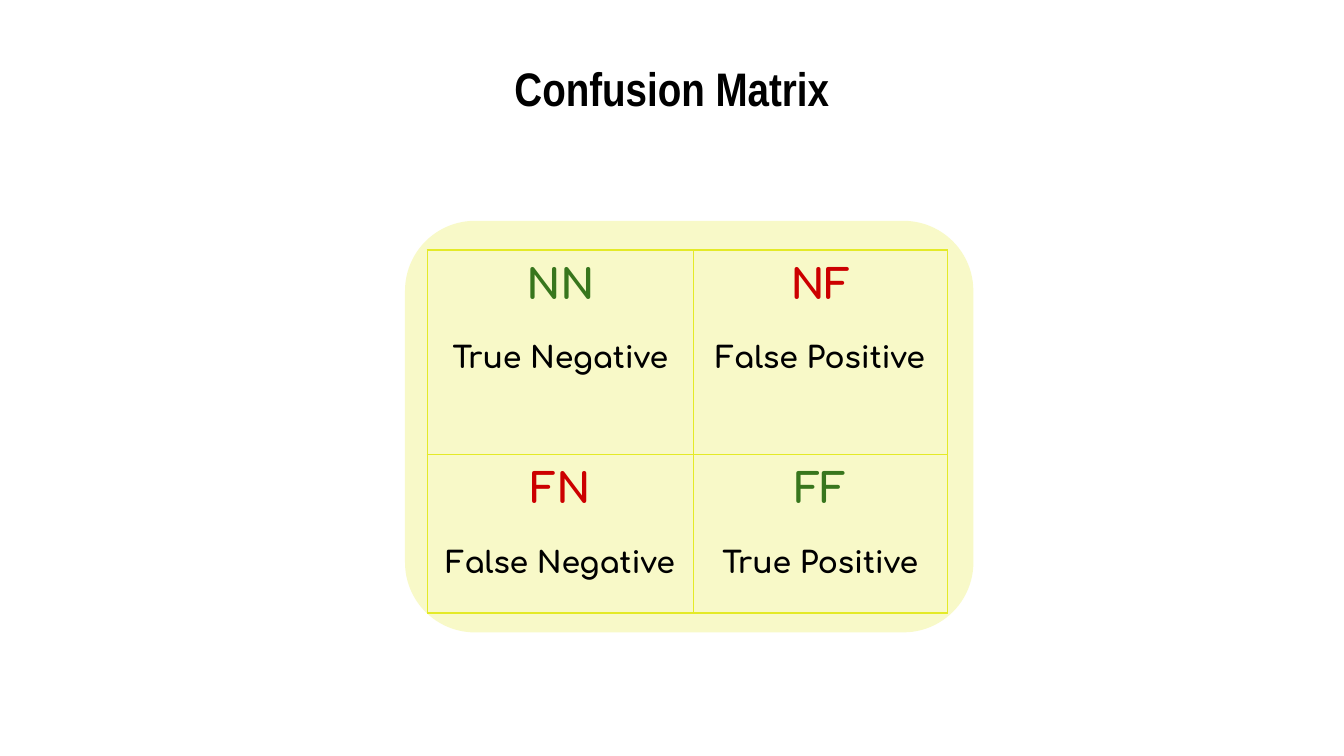
"""Build a slide with a two-by-two confusion matrix."""
from dataclasses import dataclass

from lxml import etree
from pptx import Presentation
from pptx.dml.color import RGBColor
from pptx.enum import shapes, text
from pptx.oxml import ns
from pptx.util import Pt

BLACK, GREEN, RED, YELLOW = "000000", "38761D", "CC0000", "E4EA27"
MARGIN = Pt(7.2)


@dataclass
class Outcome:
    code: str
    label: str
    color: str


MATRIX = [
    [Outcome("NN", "True Negative", GREEN), Outcome("NF", "False Positive", RED)],
    [Outcome("FN", "False Negative", RED), Outcome("FF", "True Positive", GREEN)],
]
COLUMNS = [Pt(142.5), Pt(136)]
ROWS = [Pt(109.5), Pt(85)]


def rgb(color: str) -> RGBColor:
    return RGBColor.from_string(color)


def set_margins(target) -> None:
    target.margin_left = target.margin_right = MARGIN
    target.margin_top = target.margin_bottom = MARGIN


def style(p, name: str, size: float, color: str) -> None:
    p.alignment = text.PP_ALIGN.CENTER
    p.font.name, p.font.size, p.font.bold = name, Pt(size), True
    p.font.color.rgb = rgb(color)


def add_title(s, title: str) -> None:
    sp = s.shapes.title
    sp.left, sp.top, sp.width, sp.height = Pt(36), Pt(32.4), Pt(648), Pt(29.5)
    tf = sp.text_frame
    tf.text = title
    tf.vertical_anchor = text.MSO_ANCHOR.MIDDLE
    tf.auto_size = text.MSO_AUTO_SIZE.NONE
    set_margins(tf)
    style(tf.paragraphs[0], "Arial Narrow", 25.2, BLACK)


def add_panel(s) -> None:
    sp = s.shapes.add_shape(shapes.MSO_SHAPE.ROUNDED_RECTANGLE,
                            Pt(217), Pt(118.3), Pt(304.5), Pt(220.5))
    sp.adjustments[0] = 0.17
    sp.shadow.inherit = False
    sp.line.fill.background()
    sp.fill.solid()
    sp.fill.fore_color.rgb = rgb(YELLOW)
    fill_color = sp.fill._xPr.find(ns.qn("a:solidFill"))[0]
    etree.SubElement(fill_color, ns.qn("a:alpha"), val="25000")


def add_borders(cell, color: str) -> None:
    tc_pr = cell._tc.get_or_add_tcPr()
    for side in ("lnL", "lnR", "lnT", "lnB"):
        ln = etree.SubElement(tc_pr, ns.qn(f"a:{side}"), w=str(Pt(0.75)))
        fill = etree.SubElement(ln, ns.qn("a:solidFill"))
        etree.SubElement(fill, ns.qn("a:srgbClr"), val=color)


def fill_cell(cell, outcome: Outcome) -> None:
    add_borders(cell, YELLOW)
    cell.fill.background()
    set_margins(cell)
    tf = cell.text_frame
    tf.text = f"{outcome.code}\n{outcome.label}"
    code, label = tf.paragraphs
    style(code, "Comfortaa", 22, outcome.color)
    style(label, "Comfortaa", 16, BLACK)
    label.space_before = Pt(18)


def add_matrix(s) -> None:
    table = s.shapes.add_table(len(ROWS), len(COLUMNS), Pt(229), Pt(133.9),
                               sum(COLUMNS), sum(ROWS)).table
    table.first_row = table.horz_banding = False
    for column, width in zip(table.columns, COLUMNS):
        column.width = width
    for row, height, outcomes in zip(table.rows, ROWS, MATRIX):
        row.height = height
        for cell, outcome in zip(row.cells, outcomes):
            fill_cell(cell, outcome)


def main() -> None:
    prs = Presentation()
    prs.slide_width, prs.slide_height = Pt(720), Pt(405)
    s = prs.slides.add_slide(prs.slide_layouts[5])
    add_title(s, "Confusion Matrix")
    add_panel(s)
    add_matrix(s)
    prs.save("out.pptx")


if __name__ == "__main__":
    main()
